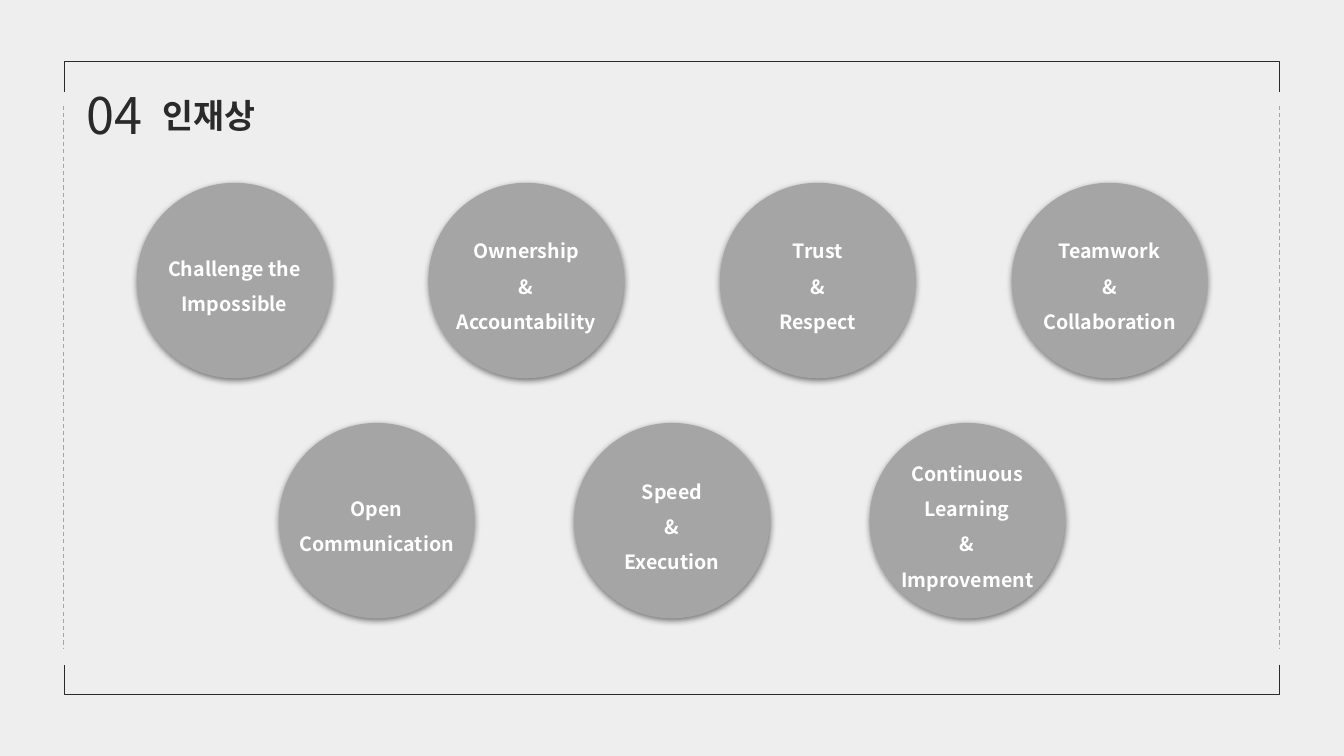
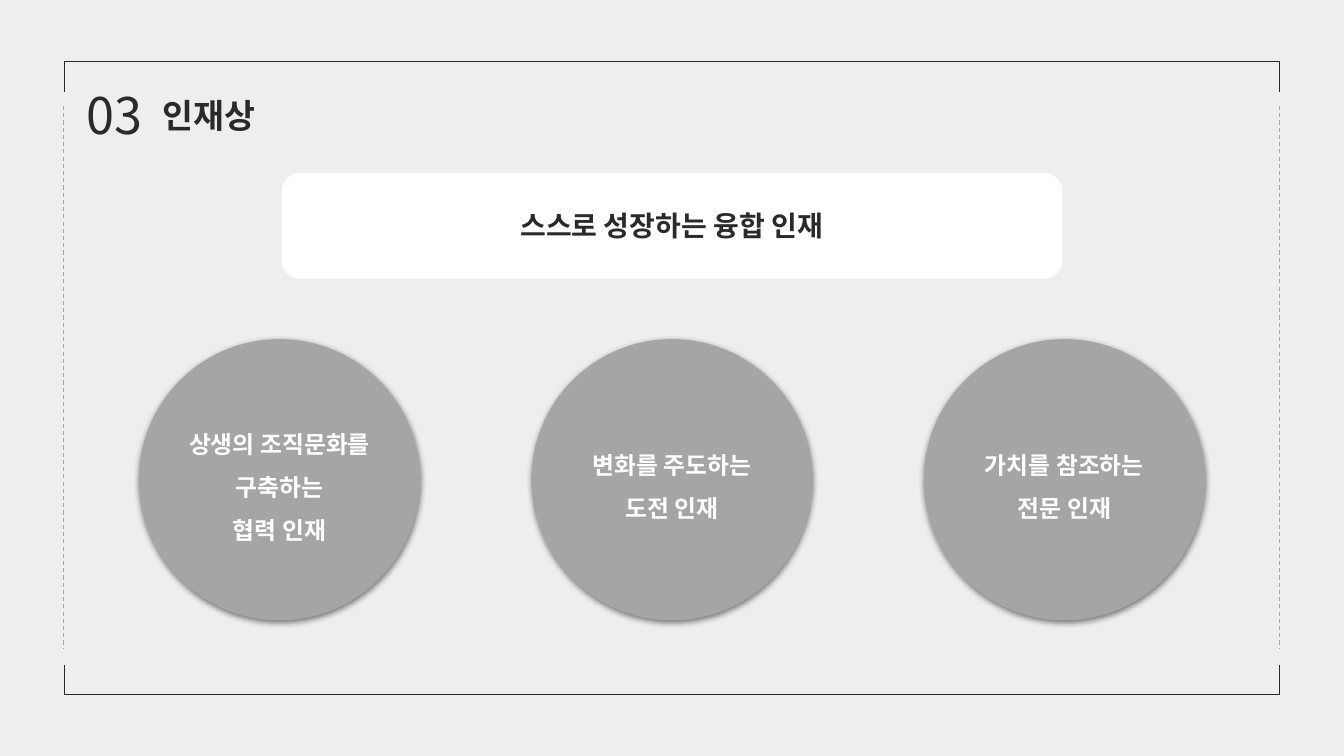
"""Build two slides on the ideal employee: values and talent types."""
from dataclasses import dataclass

from pptx import Presentation
from pptx.dml.color import RGBColor
from pptx.enum.dml import MSO_LINE
from pptx.enum.shapes import MSO_CONNECTOR, MSO_SHAPE
from pptx.enum.text import MSO_ANCHOR, MSO_AUTO_SIZE, PP_ALIGN
from pptx.oxml.ns import qn
from pptx.oxml.xmlchemy import OxmlElement
from pptx.shapes.autoshape import Shape
from pptx.shapes.shapetree import GroupShapes, SlideShapes
from pptx.slide import Slide
from pptx.util import Cm, Pt

ELLIPSE = MSO_SHAPE.OVAL
ROUND_RECT = MSO_SHAPE.ROUNDED_RECTANGLE
BRACKET = MSO_SHAPE.RIGHT_BRACKET
STRAIGHT = MSO_CONNECTOR.STRAIGHT
DASH = MSO_LINE.DASH
TOP, MIDDLE = MSO_ANCHOR.TOP, MSO_ANCHOR.MIDDLE
LEFT, CENTER = PP_ALIGN.LEFT, PP_ALIGN.CENTER
FIT_SHAPE = MSO_AUTO_SIZE.SHAPE_TO_FIT_TEXT


@dataclass(frozen=True)
class Theme:
    font: str = "Noto Sans CJK KR"
    back: str = "EEEEEE"
    ink: str = "2A2A2A"
    gray: str = "A5A5A5"
    white: str = "FFFFFF"
    glow: str = "F2F2F2"
    shade: str = "000000"
    number: int = 36
    title: int = 24
    banner: int = 20
    talent: int = 17
    value: int = 14
    hairline: float = 0.75
    spacing: float = 1.5


@dataclass(frozen=True)
class Box:
    left: float
    top: float
    width: float
    height: float

    def emu(self) -> tuple[Cm, Cm, Cm, Cm]:
        return Cm(self.left), Cm(self.top), Cm(self.width), Cm(self.height)


@dataclass(frozen=True)
class TextStyle:
    size: int
    color: str
    bold: bool = True
    align: PP_ALIGN = LEFT
    anchor: MSO_ANCHOR = TOP
    spacing: float | None = None


@dataclass(frozen=True)
class Shadow:
    color: str
    alpha: int
    blur: float
    dist: float
    angle: int


@dataclass(frozen=True)
class Label:
    text: str
    lines: int


@dataclass(frozen=True)
class CircleRow:
    labels: tuple[Label, ...]
    middle: float
    pitch: float
    diameter: float
    size: int


THEME = Theme()
WIDTH, HEIGHT = 33.87, 19.05
FRAME_LEFT, FRAME_WIDTH, FRAME_DEPTH = 1.61, 30.64, 0.76
FRAME_TOP, FRAME_BOTTOM = 1.55, 16.75
SIDE_TOP, SIDE_BOTTOM = 2.67, 16.36
CIRCLE_SHADOW = Shadow(THEME.shade, 50, 4.5, 1.5, 90)
BANNER_SHADOW = Shadow(THEME.glow, 40, 5, 0, 0)

VALUE_ROWS = (
    CircleRow((
        Label("Challenge the Impossible", 2),
        Label("Ownership\n&\nAccountability", 3),
        Label("Trust\n&\nRespect", 3),
        Label("Teamwork\n&\nCollaboration", 3),
    ), 7.07, 7.35, 4.9, THEME.value),
    CircleRow((
        Label("Open\nCommunication", 2),
        Label("Speed\n&\nExecution", 3),
        Label("Continuous Learning\n&\nImprovement", 4),
    ), 13.12, 7.44, 4.9, THEME.value),
)
TALENT_ROW = CircleRow((
    Label("상생의 조직문화를\n구축하는\n협력 인재", 3),
    Label("변화를 주도하는\n도전 인재", 2),
    Label("가치를 참조하는\n전문 인재", 2),
), 12.09, 9.89, 7.06, THEME.talent)


def rgb(color: str) -> RGBColor:
    return RGBColor.from_string(color)


def add_text(shapes: SlideShapes | GroupShapes, box: Box, text: str, style: TextStyle) -> None:
    tf = shapes.add_textbox(*box.emu()).text_frame
    tf.word_wrap = True
    tf.auto_size = FIT_SHAPE
    tf.vertical_anchor = style.anchor
    tf.margin_left = tf.margin_right = Cm(0.15)
    tf.margin_top = tf.margin_bottom = Cm(0.05)
    tf.text = text
    for p in tf.paragraphs:
        p.alignment = style.align
        p.line_spacing = style.spacing
        for r in p.runs:
            r.font.size = Pt(style.size)
            r.font.bold = style.bold
            r.font.name = THEME.font
            r.font.color.rgb = rgb(style.color)
            ea = OxmlElement("a:ea")
            ea.set("typeface", THEME.font)
            r.font._element.append(ea)


def add_shadow(sp: Shape, shadow: Shadow) -> None:
    outer = OxmlElement("a:outerShdw")
    outer.set("blurRad", str(Pt(shadow.blur)))
    outer.set("dist", str(Pt(shadow.dist)))
    outer.set("dir", str(shadow.angle * 60000))
    outer.set("algn", "ctr")
    outer.set("rotWithShape", "0")
    color = OxmlElement("a:srgbClr")
    color.set("val", shadow.color)
    alpha = OxmlElement("a:alpha")
    alpha.set("val", str(shadow.alpha * 1000))
    color.append(alpha)
    outer.append(color)
    sp._element.spPr.find(qn("a:effectLst")).append(outer)


def add_panel(shapes: SlideShapes | GroupShapes, kind: MSO_SHAPE, box: Box,
              color: str, shadow: Shadow) -> None:
    sp = shapes.add_shape(kind, *box.emu())
    sp.fill.solid()
    sp.fill.fore_color.rgb = rgb(color)
    sp.line.color.rgb = rgb(color)
    sp.line.width = Pt(THEME.hairline)
    sp.shadow.inherit = False
    add_shadow(sp, shadow)


def add_bracket(s: Slide, top: float, rotation: int) -> None:
    box = Box((WIDTH - FRAME_DEPTH) / 2, top + (FRAME_DEPTH - FRAME_WIDTH) / 2,
              FRAME_DEPTH, FRAME_WIDTH)
    sp = s.shapes.add_shape(BRACKET, *box.emu())
    sp.adjustments[0] = 0
    sp.rotation = rotation
    sp.fill.background()
    sp.line.color.rgb = rgb(THEME.ink)
    sp.line.width = Pt(THEME.hairline)
    sp.shadow.inherit = False


def add_side(s: Slide, x: float) -> None:
    line = s.shapes.add_connector(STRAIGHT, Cm(x), Cm(SIDE_TOP), Cm(x), Cm(SIDE_BOTTOM))
    line.line.color.rgb = rgb(THEME.gray)
    line.line.width = Pt(THEME.hairline)
    line.line.dash_style = DASH
    line._element.spPr.append(OxmlElement("a:effectLst"))


def add_framed_slide(prs: Presentation, number: str, title: str) -> Slide:
    s = prs.slides.add_slide(prs.slide_layouts[6])
    add_bracket(s, FRAME_TOP, 270)
    add_bracket(s, FRAME_BOTTOM, 90)
    for x in (FRAME_LEFT, FRAME_LEFT + FRAME_WIDTH):
        add_side(s, x)
    add_text(s.shapes, Box(3.94, 2.34, 2.95, 1.12), title, TextStyle(THEME.title, THEME.ink))
    add_text(s.shapes, Box(2.03, 2.08, 2.24, 1.65), number,
             TextStyle(THEME.number, THEME.ink, bold=False))
    return s


def add_circle_row(s: Slide, row: CircleRow) -> None:
    style = TextStyle(row.size, THEME.white, True, CENTER, MIDDLE, THEME.spacing)
    first = (WIDTH - row.pitch * (len(row.labels) - 1)) / 2
    text_width = row.diameter * 0.9
    for i, label in enumerate(row.labels):
        x = first + i * row.pitch
        text_height = label.lines * row.size * 0.06 + 0.2
        shapes = s.shapes.add_group_shape().shapes
        circle = Box(x - row.diameter / 2, row.middle - row.diameter / 2,
                     row.diameter, row.diameter)
        add_panel(shapes, ELLIPSE, circle, THEME.gray, CIRCLE_SHADOW)
        caption = Box(x - text_width / 2, row.middle - text_height / 2, text_width, text_height)
        add_text(shapes, caption, label.text, style)


def add_banner(s: Slide, text: str) -> None:
    add_panel(s.shapes, ROUND_RECT, Box(7.11, 4.37, 19.65, 2.64), THEME.white, BANNER_SHADOW)
    add_text(s.shapes, Box(10.06, 5.13, 13.74, 1.12), text,
             TextStyle(THEME.banner, THEME.ink, True, CENTER, MIDDLE))


def main() -> None:
    prs = Presentation()
    prs.slide_width, prs.slide_height = Cm(WIDTH), Cm(HEIGHT)
    fill = prs.slide_master.background.fill
    fill.solid()
    fill.fore_color.rgb = rgb(THEME.back)

    s = add_framed_slide(prs, "04", "인재상")
    for row in VALUE_ROWS:
        add_circle_row(s, row)

    s = add_framed_slide(prs, "03", "인재상")
    add_banner(s, "스스로 성장하는 융합 인재")
    add_circle_row(s, TALENT_ROW)

    prs.save("out.pptx")


if __name__ == "__main__":
    main()
